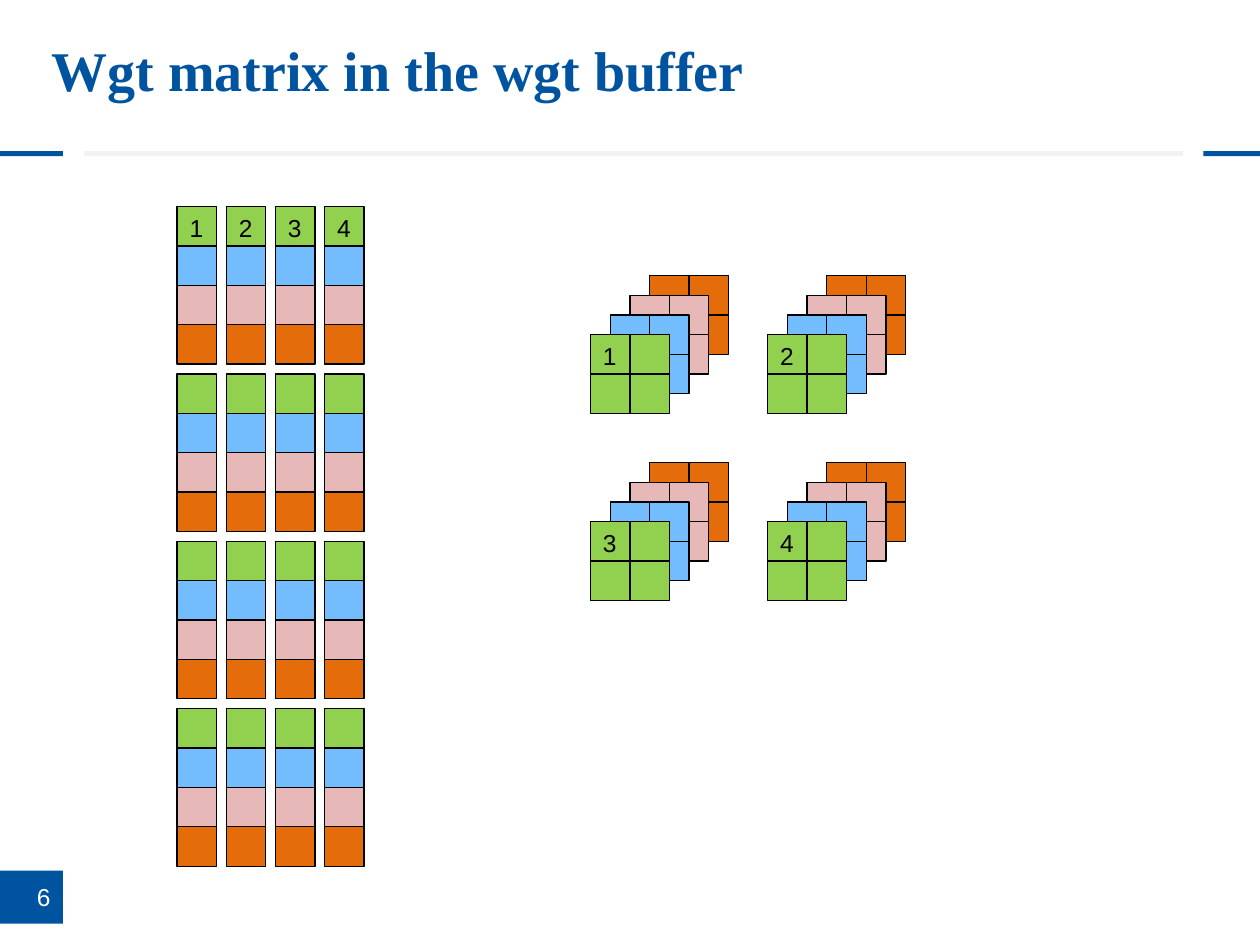
import pptx
import pptx.dml.color
import pptx.enum.shapes
import pptx.enum.text
import pptx.util

Inches = pptx.util.Inches
Pt = pptx.util.Pt
RGBColor = pptx.dml.color.RGBColor
Align = pptx.enum.text.PP_ALIGN
Anchor = pptx.enum.text.MSO_ANCHOR

NAVY = RGBColor(0x00, 0x54, 0x9F)
PALE_GREY = RGBColor(0xF2, 0xF2, 0xF2)
WHITE = RGBColor(0xFF, 0xFF, 0xFF)
BLACK = RGBColor(0x00, 0x00, 0x00)
GREEN = RGBColor(0x92, 0xD0, 0x50)
BLUE = RGBColor(0x73, 0xBD, 0xFF)
PINK = RGBColor(0xE6, 0xB9, 0xB8)
ORANGE = RGBColor(0xE4, 0x6C, 0x0A)
CHANNELS = (GREEN, BLUE, PINK, ORANGE)

CELL = 5 / 16  # side of a matrix cell in inches; the diagrams sit on this grid
GAP = 0.25     # space between vectors, in cells


class SlideBuilder:
    title_font = "Times New Roman"
    body_font = "Arial"
    body_size = Pt(14)

    def __init__(self, page):
        self.page = page

    def title(self, text, left, top, width, height):
        box = self.page.shapes.title
        box.left, box.top = Inches(left), Inches(top)
        box.width, box.height = Inches(width), Inches(height)
        frame = box.text_frame
        frame.text = text
        frame.word_wrap = True
        frame.auto_size = pptx.enum.text.MSO_AUTO_SIZE.NONE
        para = frame.paragraphs[0]
        para.alignment = Align.LEFT
        para.font.name = self.title_font
        para.font.size = Pt(32)
        para.font.bold = True
        para.font.color.rgb = NAVY

    def block(self, left, top, width, height, color):
        box = self.page.shapes.add_shape(
            pptx.enum.shapes.MSO_SHAPE.RECTANGLE,
            Inches(left), Inches(top), Inches(width), Inches(height))
        box.shadow.inherit = False
        box.fill.solid()
        box.fill.fore_color.rgb = color
        box.line.fill.background()
        return box

    def label(self, box, text, color, alignment, anchor):
        frame = box.text_frame
        frame.text = text
        frame.vertical_anchor = anchor
        para = frame.paragraphs[0]
        para.alignment = alignment
        para.font.name = self.body_font
        para.font.size = self.body_size
        para.font.color.rgb = color

    def cell(self, column, row, color, text=""):
        """Draw one matrix cell; column and row are counted in cells."""
        box = self.block(column * CELL, row * CELL, CELL, CELL, color)
        box.line.color.rgb = BLACK
        box.line.width = Pt(0.75)
        if text:
            self.label(box, text, BLACK, Align.LEFT, Anchor.TOP)

    def vector(self, column, row, text=""):
        """Stack one cell per channel."""
        for channel, color in enumerate(CHANNELS):
            self.cell(column, row + channel, color, "" if channel else text)

    def kernel(self, column, row, text):
        """Stagger one 2 x 2 layer per channel, back to front."""
        for depth in reversed(range(len(CHANNELS))):
            x, y = column + depth / 2, row - depth / 2
            for down in range(2):
                for across in range(2):
                    if depth >= 2 and (across, down) == (0, 1):
                        continue  # fully covered by the layers in front
                    first = (depth, across, down) == (0, 0, 0)
                    self.cell(x + across, y + down, CHANNELS[depth],
                              text if first else "")


def main():
    deck = pptx.Presentation()
    deck.slide_width, deck.slide_height = Inches(10), Inches(7.5)
    page = deck.slides.add_slide(deck.slide_layouts.get_by_name("Title Only"))
    builder = SlideBuilder(page)

    # Title and divider
    builder.title("Wgt matrix in the wgt buffer", 0.31, 0.23, 7.5, 0.64)
    for left, width, color in ((0, 0.5, NAVY), (9.55, 0.45, NAVY),
                               (0.67, 8.72, PALE_GREY)):
        builder.block(left, 1.2, width, 0.04, color)

    # Page number
    number = builder.block(0, 6.91, 0.5, 0.42, NAVY)
    number.text_frame.word_wrap = False
    builder.label(number, "6", WHITE, Align.RIGHT, Anchor.MIDDLE)

    # Flattened weight matrix: one column per kernel
    for column in range(4):
        for group in range(4):
            builder.vector(4.5 + column * (1 + GAP),
                           5.25 + group * (len(CHANNELS) + GAP),
                           "" if group else str(column + 1))

    # Kernels with their channels layered
    for index in range(4):
        row, column = divmod(index, 2)
        builder.kernel(15 + column * 4.5, 8.5 + row * 4.75, str(index + 1))

    deck.save("out.pptx")


if __name__ == "__main__":
    main()
